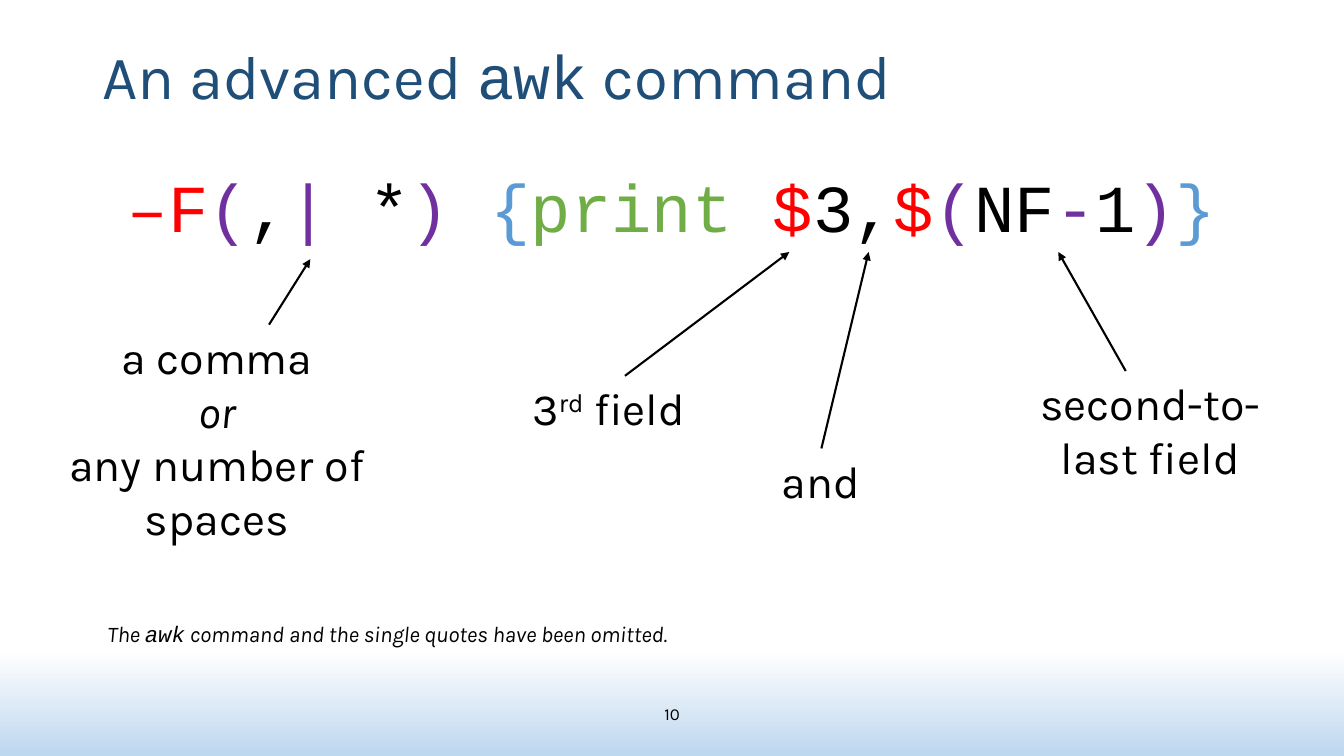
"""Build a slide that explains the parts of an awk command."""
from lxml import etree
from pptx import Presentation
from pptx.dml.color import RGBColor
from pptx.enum.shapes import MSO_CONNECTOR
from pptx.enum.text import MSO_ANCHOR, MSO_AUTO_SIZE, PP_ALIGN
from pptx.oxml.ns import qn
from pptx.util import Cm, Pt

LEFT, CENTER = PP_ALIGN.LEFT, PP_ALIGN.CENTER
TOP, MIDDLE = MSO_ANCHOR.TOP, MSO_ANCHOR.MIDDLE
NO_FIT = MSO_AUTO_SIZE.NONE
STRAIGHT = MSO_CONNECTOR.STRAIGHT

SANS, MONO = "Karla", "Courier New"
BLACK, NAVY, RED, PURPLE = "000000", "1F4E79", "FF0000", "7030A0"
BLUE, GREEN, WHITE, PALE = "5B9BD5", "70AD47", "FFFFFF", "BDD7EE"

AWK = ("awk", {"font": MONO})
TITLE = [[("An advanced ", {}), AWK, (" command", {})]]
COMMAND = [
    ("–F", RED), ("(", PURPLE), (",", BLACK), ("|", PURPLE), (" *", BLACK),
    (") ", PURPLE), ("{", BLUE), ("print ", GREEN), ("$", RED), ("3,", BLACK),
    ("$", RED), ("(", PURPLE), ("NF", BLACK), ("-", PURPLE), ("1", BLACK),
    (")", PURPLE), ("}", BLUE),
]
NOTE = [[("The ", {}), AWK,
         (" command and the single quotes have been omitted.", {})]]
NUMBER = [[("10", {})]]
LABELS = [
    {"box": (1.24, 8.18, 8.46, 5.74), "start": 6.78, "tip": (7.82, 6.53),
     "text": [[("a comma", {})], [("or", {"italic": True})],
              [("any number of spaces", {})]]},
    {"box": (12.65, 9.47, 5.38, 1.63), "start": 15.75, "tip": (19.89, 6.35),
     "text": [[("3", {}), ("rd", {"raised": True}), (" field", {})]]},
    {"box": (25.27, 9.35, 7.44, 3), "start": 28.37, "tip": (26.67, 6.35),
     "text": [[("second-to-last field", {})]]},
    {"box": (19, 11.3, 3.38, 1.63), "start": 20.7, "tip": (21.89, 6.35),
     "text": [[("and", {})]]},
]


def rgb(value):
    """Turn a hex string into a colour."""
    return RGBColor.from_string(value)


def write(sp, paragraphs, size, font=SANS, color=BLACK, italic=None,
          align=CENTER, anchor=TOP, spacing=None, before=0):
    """Fill a shape with paragraphs of (text, overrides) runs."""
    tf = sp.text_frame
    tf.word_wrap, tf.auto_size, tf.vertical_anchor = True, NO_FIT, anchor
    for i, runs in enumerate(paragraphs):
        p = tf.add_paragraph() if i else tf.paragraphs[0]
        p.alignment, p.line_spacing, p.space_before = align, spacing, Pt(before)
        p.font.size, p.font.name, p.font.italic = Pt(size), font, italic
        p.font.color.rgb = rgb(color)
        for text, look in runs:
            r = p.add_run()
            r.text = text
            r.font.size = Pt(size)
            r.font.name = look.get("font", font)
            r.font.italic = look.get("italic", italic)
            r.font.color.rgb = rgb(look.get("color", color))
            if look.get("raised"):
                r._r.get_or_add_rPr().set("baseline", "30000")


def place(sp, left, top, width, height):
    """Move a placeholder to a box given in centimetres."""
    sp.left, sp.top, sp.width, sp.height = map(Cm, (left, top, width, height))


def add_text(s, box, paragraphs, size, **style):
    """Add a text box given in centimetres."""
    write(s.shapes.add_textbox(*map(Cm, box)), paragraphs, size, **style)


def add_arrow(s, start, tip):
    """Add a black line with an arrowhead at its tip."""
    line = s.shapes.add_connector(STRAIGHT, *map(Cm, start + tip))
    line.line.color.rgb, line.line.width = rgb(BLACK), Pt(1.5)
    etree.SubElement(line.line._get_or_add_ln(), qn("a:tailEnd"), type="triangle")
    etree.SubElement(line._element.spPr, qn("a:effectLst"))


prs = Presentation()
prs.slide_width, prs.slide_height = Cm(33.87), Cm(19.05)
s = prs.slides.add_slide(prs.slide_layouts[1])

fill = s.background.fill
fill.gradient()
fill.gradient_angle = 270
for stop, (position, color) in zip(fill.gradient_stops, [(0.86, WHITE), (1, PALE)]):
    stop.position, stop.color.rgb = position, rgb(color)

title, body = s.placeholders
place(title, 2.33, 1.02, 29.21, 1.96)
write(title, TITLE, 44, color=NAVY, align=LEFT, anchor=MIDDLE, spacing=0.9)

place(body, 0, 3.61, 33.87, 3.38)
write(body, [[(text, {"color": color}) for text, color in COMMAND]], 48,
      font=MONO, anchor=MIDDLE, spacing=0.9, before=10)
pPr = body.text_frame.paragraphs[0]._p.get_or_add_pPr()
pPr.set("marL", "0")
pPr.set("indent", "0")
pPr.insert_element_before(etree.Element(qn("a:buNone")), "a:tabLst", "a:defRPr")

for label in LABELS:
    add_text(s, label["box"], label["text"], 32)
    add_arrow(s, (label["start"], label["box"][1]), label["tip"])

add_text(s, (2.46, 15.49, 22.35, 0.94), NOTE, 16, italic=True, align=LEFT)
add_text(s, (15.82, 17.48, 2.24, 1.02), NUMBER, 12, anchor=MIDDLE)

prs.save("out.pptx")
